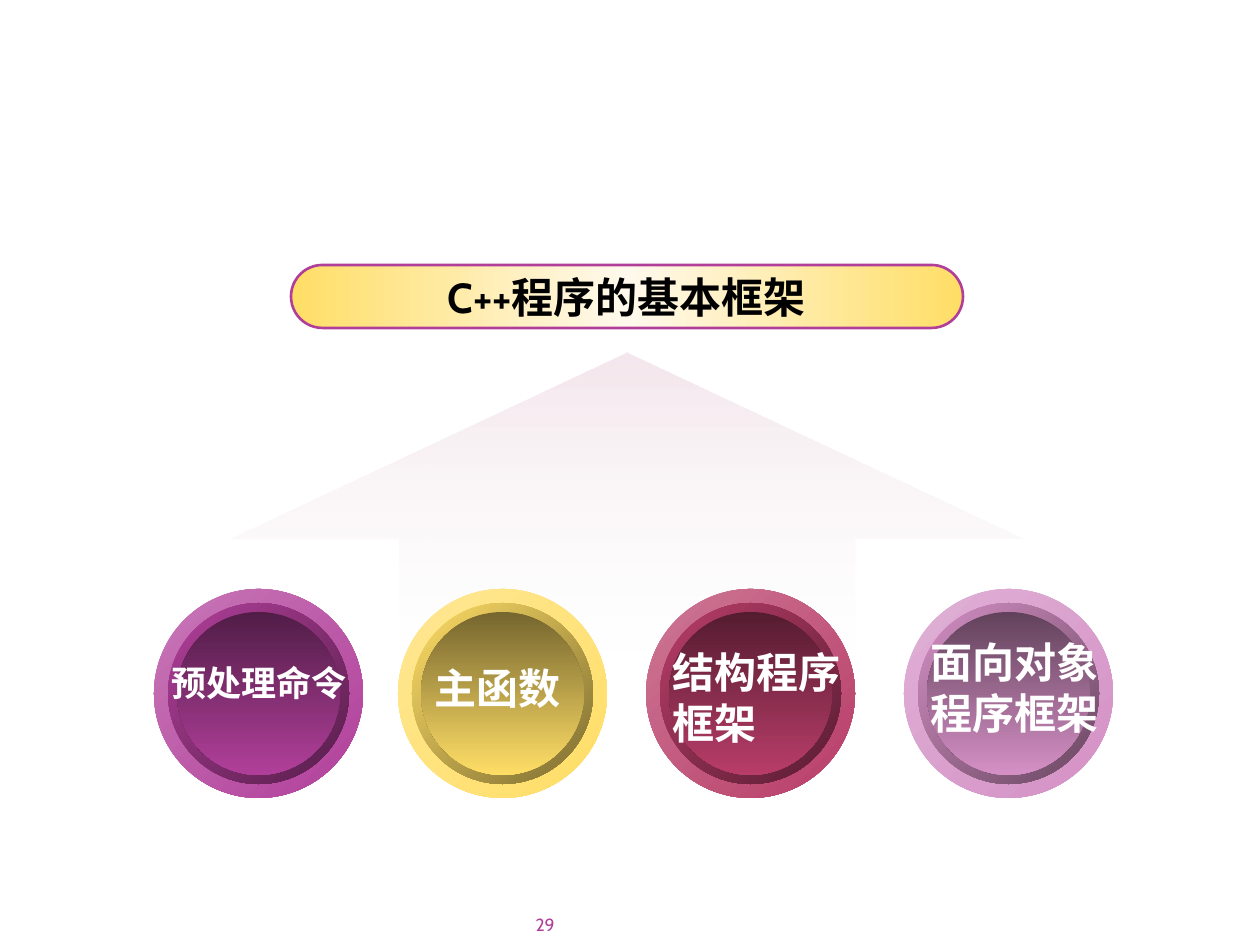
"""Build the slide on the basic framework of a C++ program."""
from pptx import Presentation
from pptx.dml.color import RGBColor
from pptx.enum.shapes import MSO_SHAPE
from pptx.enum.text import MSO_ANCHOR, MSO_AUTO_SIZE, PP_ALIGN
from pptx.oxml import parse_xml
from pptx.oxml.ns import nsdecls, qn
from pptx.util import Emu, Pt

SCALE = 914400 / 126
OVAL, PILL, UP_ARROW = MSO_SHAPE.OVAL, MSO_SHAPE.ROUNDED_RECTANGLE, MSO_SHAPE.UP_ARROW
TOP, MIDDLE, BOTTOM = MSO_ANCHOR.TOP, MSO_ANCHOR.MIDDLE, MSO_ANCHOR.BOTTOM
LEFT, CENTER, RIGHT = PP_ALIGN.LEFT, PP_ALIGN.CENTER, PP_ALIGN.RIGHT
GROW, FIXED = MSO_AUTO_SIZE.SHAPE_TO_FIT_TEXT, MSO_AUTO_SIZE.NONE

PURPLE = RGBColor(0xB1, 0x3F, 0x9A)
YELLOW = RGBColor(0xFF, 0xDE, 0x66)
RED = RGBColor(0xB8, 0x3D, 0x68)
PINK = RGBColor(0xD4, 0x90, 0xC5)
CREAM = RGBColor(0xFF, 0xF9, 0xED)
ROSE = RGBColor(0xF4, 0xE7, 0xED)
PALE_ROSE = RGBColor(0xFB, 0xF7, 0xF9)
WHITE = RGBColor(0xFF, 0xFF, 0xFF)
BLACK = RGBColor(0x00, 0x00, 0x00)

CABIN, ARIAL, NOTO = "Cabin", "Arial", "Noto Sans CJK SC"


def add_gradient_shape(kind, box, angle, stops):
    shape = slide.shapes.add_shape(kind, *[Emu(round(v * SCALE)) for v in box])
    shape.shadow.inherit = False
    shape.line.fill.background()
    shape.fill.background()
    stop_xml = "".join(
        f'<a:gs pos="{position * 1000}"><a:srgbClr val="{color}">{change}</a:srgbClr></a:gs>'
        for position, color, change in stops)
    gradient = parse_xml(
        f'<a:gradFill {nsdecls("a")} rotWithShape="1"><a:gsLst>{stop_xml}</a:gsLst>'
        f'<a:lin ang="{angle * 60000}" scaled="1"/></a:gradFill>')
    properties = shape._element.spPr
    properties.replace(properties.find(qn("a:noFill")), gradient)
    return shape


def write_text(text, box=None, shape=None, size=24, font=CABIN, color=WHITE, bold=True,
               align=LEFT, anchor=TOP, wrap=False, fit=FIXED, inset=6):
    if shape is None:
        shape = slide.shapes.add_textbox(*[Emu(round(v * SCALE)) for v in box])
    frame = shape.text_frame
    frame.word_wrap, frame.auto_size, frame.vertical_anchor = wrap, fit, anchor
    frame.margin_top = frame.margin_bottom = Emu(round(inset * SCALE))
    frame.text = text
    for paragraph in frame.paragraphs:
        paragraph.alignment = align
        for run in paragraph.runs:
            run.font.size, run.font.bold, run.font.name = Pt(size), bold, font
            run.font.color.rgb = color
            run.font._element.append(
                parse_xml(f'<a:ea {nsdecls("a")} typeface="{CABIN}"/>'))


presentation = Presentation()
presentation.slide_width = Emu(round(1260 * SCALE))
presentation.slide_height = Emu(round(945 * SCALE))
slide = presentation.slides.add_slide(presentation.slide_layouts[6])

support_arrow = add_gradient_shape(
    UP_ARROW, (230, 353, 794, 297), 90,
    [(0, ROSE, ""), (100, PALE_ROSE, '<a:alpha val="0"/>')])
support_arrow.adjustments[0] = 0.573
support_arrow.adjustments[1] = 0.628

framework = add_gradient_shape(
    PILL, (291, 265, 672, 63), 0, [(0, YELLOW, ""), (50, CREAM, ""), (100, YELLOW, "")])
framework.adjustments[0] = 0.5
framework.line.color.rgb = PURPLE
framework.line.width = Pt(1.5)
write_text("C++程序的基本框架", shape=framework, color=BLACK, align=CENTER, anchor=MIDDLE)

RIM_TINT = '<a:gamma/><a:tint val="69804"/><a:invGamma/>'
GROOVE_SHADE = '<a:gamma/><a:shade val="48627"/><a:invGamma/>'
FACE_SHADE = '<a:gamma/><a:shade val="46275"/><a:invGamma/>'
RINGS = [
    (0, 45, RIM_TINT, ""),
    (14, 45, "", GROOVE_SHADE),
    (23, 90, FACE_SHADE, ""),
]
COMPONENTS = [
    (154, PURPLE, "预处理命令", (159, 655, 203, 55), 20, NOTO, False),
    (398, YELLOW, "主函数", (422, 657, 154, 63), 24, NOTO, False),
    (646, RED, "结构程序\n框架", (660, 641, 199, 115), 24, ARIAL, True),
    (904, PINK, "面向对象\n程序框架", (918, 631, 197, 115), 24, ARIAL, False),
]
DISC_TOP, DISC_SIZE = 589, 209
for disc_left, color, label, label_box, size, font, wrap in COMPONENTS:
    for margin, angle, start, end in RINGS:
        diameter = DISC_SIZE - 2 * margin
        add_gradient_shape(
            OVAL, (disc_left + margin, DISC_TOP + margin, diameter, diameter), angle,
            [(0, color, start), (100, color, end)])
    write_text(label, box=label_box, size=size, font=font, wrap=wrap, fit=GROW)

write_text("29", box=(63, 903, 504, 32), size=10, color=PURPLE, bold=False,
           align=RIGHT, anchor=BOTTOM, wrap=True, inset=0)

presentation.save("out.pptx")
